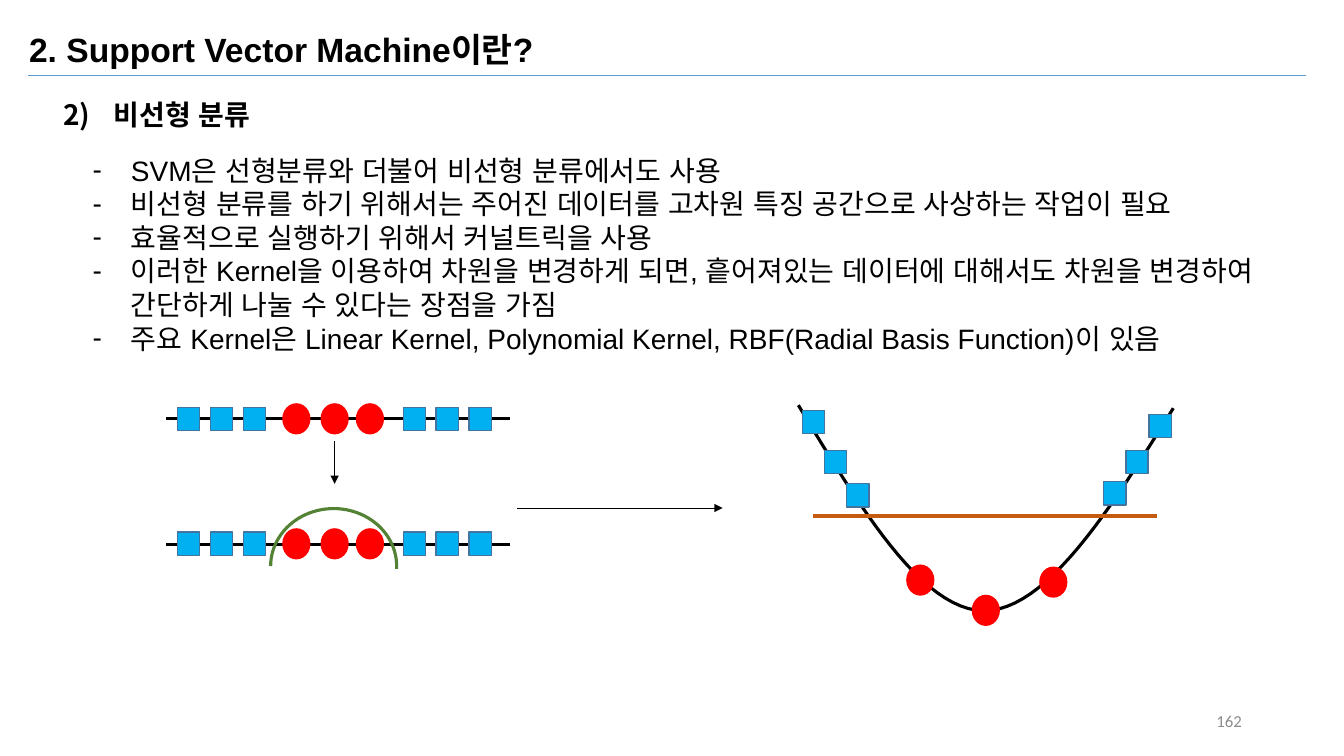
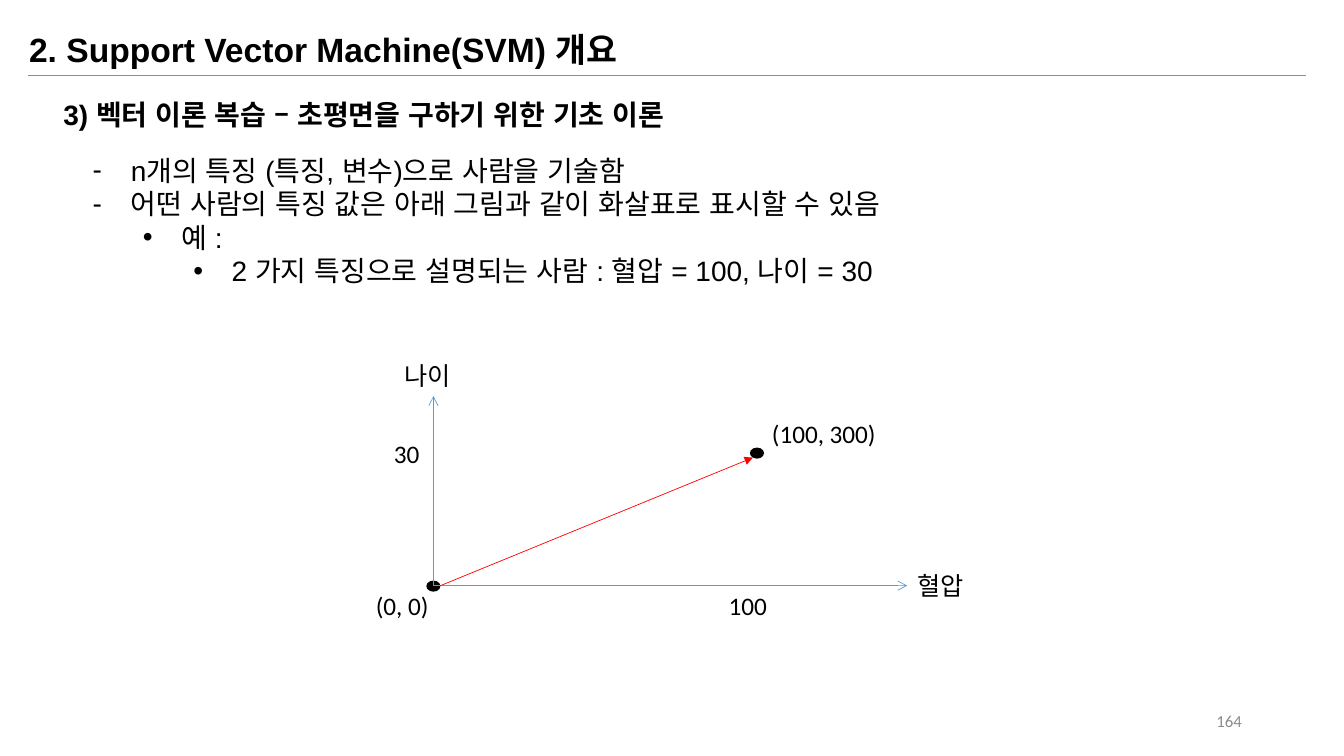
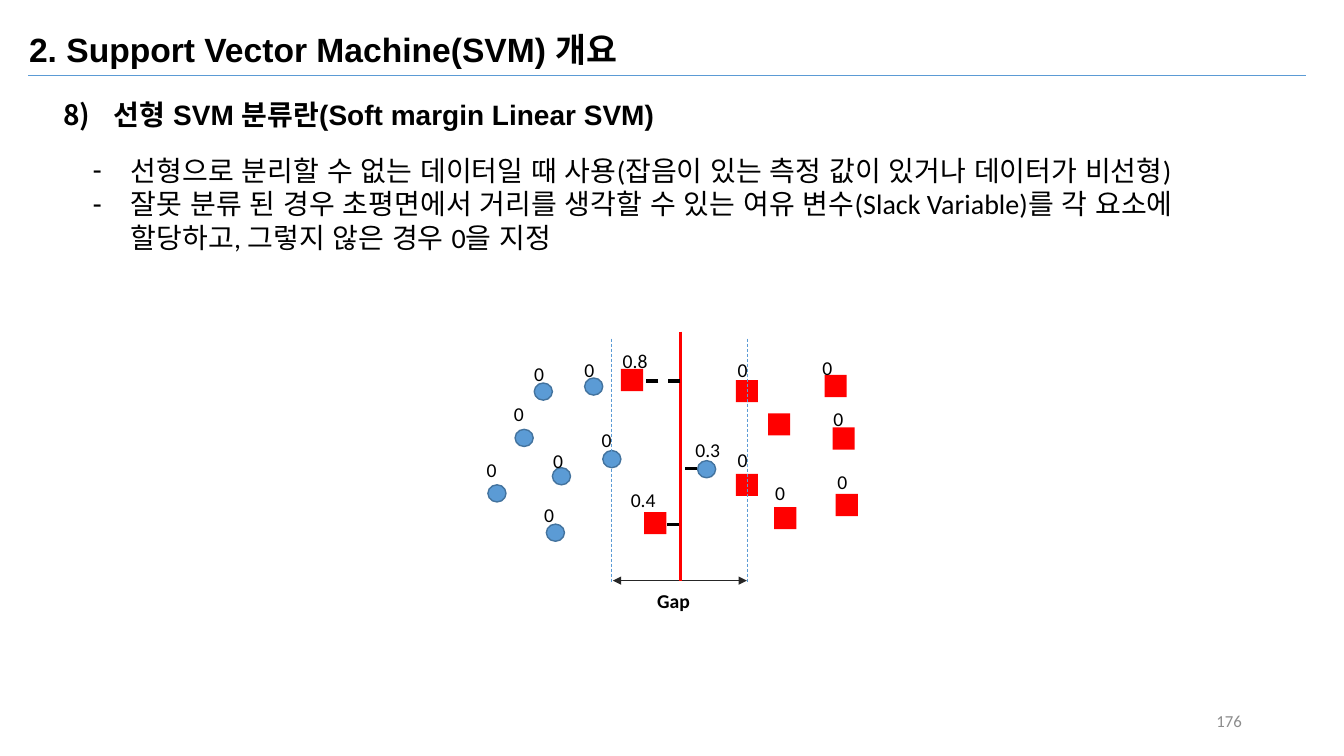
import math

import lxml.etree
import pptx
import pptx.dml.color
import pptx.enum.dml
import pptx.enum.lang
import pptx.enum.shapes
import pptx.enum.text
import pptx.oxml.ns
import pptx.util

BLACK = pptx.dml.color.RGBColor(0x00, 0x00, 0x00)
CHARCOAL = pptx.dml.color.RGBColor(0x26, 0x26, 0x26)
GREY = pptx.dml.color.RGBColor(0x8C, 0x8C, 0x8C)
BLUE = pptx.dml.color.RGBColor(0x5B, 0x9B, 0xD5)
DARK_BLUE = pptx.dml.color.RGBColor(0x43, 0x73, 0x9E)
SKY = pptx.dml.color.RGBColor(0x00, 0xB0, 0xF0)
RED = pptx.dml.color.RGBColor(0xFF, 0x00, 0x00)
ORANGE = pptx.dml.color.RGBColor(0xC5, 0x5A, 0x11)
GREEN = pptx.dml.color.RGBColor(0x54, 0x82, 0x35)

ELLIPSE = pptx.enum.shapes.MSO_SHAPE.OVAL
SQUARE = pptx.enum.shapes.MSO_SHAPE.RECTANGLE
DASH = pptx.enum.dml.MSO_LINE.DASH
TOP = pptx.enum.text.MSO_ANCHOR.TOP
MIDDLE = pptx.enum.text.MSO_ANCHOR.MIDDLE
RIGHT = pptx.enum.text.PP_ALIGN.RIGHT
KOREAN = pptx.enum.lang.MSO_LANGUAGE_ID.KOREAN
qn = pptx.oxml.ns.qn

presentation = pptx.Presentation()
presentation.slide_width = pptx.util.Emu(12192000)
presentation.slide_height = pptx.util.Emu(6858000)
CELL = presentation.slide_height // 75


def add_text(slide, paragraphs, left, top, width, height, *, font="Arial", size=20,
             bold=False, colour=BLACK, align=None, anchor=TOP, wrap=True,
             levels=None, number=None):
    box = slide.shapes.add_textbox(*(round(n * CELL) for n in (left, top, width, height)))
    frame = box.text_frame
    frame.word_wrap = wrap
    frame.vertical_anchor = anchor
    for index, text in enumerate(paragraphs):
        paragraph = frame.add_paragraph() if index else frame.paragraphs[0]
        properties = paragraph._p.get_or_add_pPr()
        if levels or number:
            level = levels[index] if levels else 0
            hang = 5 if number else 3.8
            paragraph.level = level
            properties.set("marL", str(round((hang + 5 * level) * CELL)))
            properties.set("indent", str(round(-hang * CELL)))
            if number:
                lxml.etree.SubElement(properties, qn("a:buAutoNum"),
                                      type="arabicParenR", startAt=str(number))
            else:
                lxml.etree.SubElement(properties, qn("a:buFont"), typeface="Arial")
                lxml.etree.SubElement(properties, qn("a:buChar"), char="•" if level else "-")
        paragraph.alignment = align
        run = paragraph.add_run()
        run.text = text
        run.font.name = font
        run.font.size = pptx.util.Pt(size)
        run.font.bold = bold
        run.font.color.rgb = colour
        run.font.language_id = KOREAN


def add_line(slide, start, end, colour, width=0.5, dash=None, head=None, tail=None):
    connector = slide.shapes.add_connector(
        pptx.enum.shapes.MSO_CONNECTOR.STRAIGHT,
        *(round(n * CELL) for n in (*start, *end)))
    connector.line.color.rgb = colour
    connector.line.width = pptx.util.Pt(width)
    if dash:
        connector.line.dash_style = dash
    properties = connector.element.spPr
    outline = properties.find(qn("a:ln"))
    for tag, kind in (("a:headEnd", head), ("a:tailEnd", tail)):
        if kind:
            lxml.etree.SubElement(outline, qn(tag), type=kind)
    lxml.etree.SubElement(properties, qn("a:effectLst"))


pages = [
    dict(title="2. Support Vector Machine이란?", heading="비선형 분류", number=2, page="162",
         font="Arial", width=120.9, levels=[0] * 5, body=[
             "SVM은 선형분류와 더불어 비선형 분류에서도 사용",
             "비선형 분류를 하기 위해서는 주어진 데이터를 고차원 특징 공간으로 사상하는 작업이 필요",
             "효율적으로 실행하기 위해서 커널트릭을 사용",
             "이러한 Kernel을 이용하여 차원을 변경하게 되면, 흩어져있는 데이터에 대해서도 차원을 변경하여 간단하게 나눌 수 있다는 장점을 가짐",
             "주요 Kernel은 Linear Kernel, Polynomial Kernel, RBF(Radial Basis Function)이 있음"]),
    dict(title="2. Support Vector Machine(SVM) 개요",
         heading="3) 벡터 이론 복습 – 초평면을 구하기 위한 기초 이론", number=None, page="164",
         font="Arial", width=120.9, levels=[0, 0, 1, 2], body=[
             "n개의 특징 (특징, 변수)으로 사람을 기술함",
             "어떤 사람의 특징 값은 아래 그림과 같이 화살표로 표시할 수 있음",
             "예 :",
             "2 가지 특징으로 설명되는 사람 : 혈압 = 100, 나이 = 30"]),
    dict(title="2. Support Vector Machine(SVM) 개요",
         heading="선형 SVM 분류란(Soft margin Linear SVM)", number=8, page="176",
         font="Calibri", width=118.1, levels=[0, 0], body=[
             "선형으로 분리할 수 없는 데이터일 때 사용(잡음이 있는 측정 값이 있거나 데이터가 비선형)",
             "잘못 분류 된 경우 초평면에서 거리를 생각할 수 있는 여유 변수(Slack Variable)를 각 요소에 할당하고, 그렇지 않은 경우 0을 지정"]),
]
for page in pages:
    slide = presentation.slides.add_slide(presentation.slide_layouts[6])
    add_line(slide, (2.8, 7.5), (129.6, 7.5), BLUE)
    add_text(slide, [page["title"]], 1.9, 2.4, 91.5, 5, size=24, bold=True)
    add_text(slide, [page["heading"]], 5.3, 9.2, 91.5, 4.4, bold=True, number=page["number"])
    add_text(slide, page["body"], 8.2, 14.7, page["width"], 22,
             font=page["font"], levels=page["levels"])
    add_text(slide, [page["page"]], 94.2, 69.5, 30, 4, font="Calibri", size=12,
             colour=GREY, align=RIGHT, anchor=MIDDLE)

kernel_slide, vector_slide, margin_slide = presentation.slides

add_line(kernel_slide, (33.2, 43.8), (33.2, 48), BLACK, tail="triangle")
add_line(kernel_slide, (51.3, 50.4), (71.7, 50.4), BLACK, tail="triangle")
for row in (41.5, 54):
    add_line(kernel_slide, (16.5, row), (50.6, row), BLACK, 2.25)

curve_controls = [
    [(79.2, 40.2), (85.3, 50.3), (91.4, 60.5), (97.6, 60.6)],
    [(97.6, 60.6), (103.8, 60.6), (110.1, 50.6), (116.4, 40.5)],
]
STEPS = 24
curve_points = []
for controls in curve_controls:
    for step in range(STEPS + 1):
        t = step / STEPS
        weights = [math.comb(3, k) * t ** k * (1 - t) ** (3 - k) for k in range(4)]
        curve_points.append(tuple(
            round(CELL * sum(w * point[axis] for w, point in zip(weights, controls)))
            for axis in (0, 1)))
builder = kernel_slide.shapes.build_freeform(*curve_points[0])
builder.add_line_segments(curve_points[1:], close=False)
curve = builder.convert_to_shape()
add_line(kernel_slide, (80.7, 51.2), (114.8, 51.2), ORANGE, 2.25)

flat_squares = [(start + 3.27 * i, top) for top in (40.4, 52.8)
                for start in (17.6, 40) for i in range(3)]
flat_circles = [(left, top) for top in (40, 52.4) for left in (28, 31.8, 35.3)]
curve_squares = [(79.6, 40.7), (81.8, 44.7), (84, 48), (114, 41.1), (111.7, 44.7), (109.5, 47.8)]
curve_circles = [(89.9, 56), (96.4, 59), (103.1, 56.2)]
margin_circles = [(53, 38), (58, 37.5), (51.1, 42.6), (48.4, 48.1),
                  (59.8, 44.7), (69.2, 45.7), (54.8, 46.4), (54.2, 52)]
margin_squares = [(76.2, 41), (81.8, 37.2), (82.6, 42.4), (76.8, 50.3), (82.9, 49),
                  (73, 37.7), (63.9, 50.8), (61.6, 36.6), (73, 47)]
mark_groups = [
    (kernel_slide, SQUARE, 2.2, 2.3, SKY, DARK_BLUE, flat_squares + curve_squares),
    (kernel_slide, ELLIPSE, 2.8, 3.1, RED, None, flat_circles + curve_circles),
    (vector_slide, ELLIPSE, 1.4, 1.1, BLACK, None, [(42.3, 57.6), (74.4, 44.4)]),
    (margin_slide, ELLIPSE, 1.8, 1.7, BLUE, DARK_BLUE, margin_circles),
    (margin_slide, SQUARE, 2.2, 2.2, RED, None, margin_squares),
]
for slide, kind, width, height, fill, outline, places in mark_groups:
    for left, top in places:
        mark = slide.shapes.add_shape(
            kind, *(round(n * CELL) for n in (left, top, width, height)))
        mark.shadow.inherit = False
        mark.fill.solid()
        mark.fill.fore_color.rgb = fill
        if outline:
            mark.line.color.rgb = outline
            mark.line.width = pptx.util.Pt(1)
        else:
            mark.line.fill.background()

arc = kernel_slide.shapes.add_shape(
    pptx.enum.shapes.MSO_SHAPE.ARC, *(round(n * CELL) for n in (27.4, 49.9, 11.4, 12.5)))
arc.rotation = 270
arc.adjustments[0] = 162
arc.adjustments[1] = 55.6
for outline_shape, colour in ((curve, BLACK), (arc, GREEN)):
    outline_shape.shadow.inherit = False
    outline_shape.fill.background()
    outline_shape.line.color.rgb = colour
    outline_shape.line.width = pptx.util.Pt(2.25)

origin = (43, 58.1)
add_line(vector_slide, origin, (43, 39.3), BLUE, tail="arrow")
add_line(vector_slide, origin, (90, 58.1), BLUE, tail="arrow")
add_line(vector_slide, (43.7, 58.1), (74.7, 45.4), RED, tail="triangle")
axis_labels = [
    ("(0, 0)", 36.3, 58.1, 7.8), ("나이", 39.1, 35.3, 7.1), ("혈압", 90, 56.1, 7.1),
    ("(100, 300)", 75.6, 41, 13.3), ("30", 38.1, 43, 4.8), ("100", 71.3, 58.1, 6.2),
]
for text, left, top, width in axis_labels:
    add_text(vector_slide, [text], left, top, width, 4, font="Calibri", size=18, wrap=False)

for column in (60.7, 74.1):
    add_line(margin_slide, (column, 33.6), (column, 57.9), BLUE, dash=DASH)
add_line(margin_slide, (60.8, 57.6), (74.1, 57.6), CHARCOAL, head="triangle", tail="triangle")
add_line(margin_slide, (67.5, 32.9), (67.5, 57.6), RED, 2.25)
for start, end, row in ((67.5, 63.8, 37.8), (69.2, 67.5, 46.5), (67.4, 65.6, 52)):
    add_line(margin_slide, (start, row), (end, row), BLACK, 2.25, dash=DASH)

add_text(margin_slide, ["Gap"], 64.2, 57.9, 6.5, 3.4, font="Calibri", size=14, bold=True)
slack_places = {
    "0": [(47.3, 44.9), (50, 39.4), (52, 35.4), (57, 35), (53.9, 44), (58.7, 42),
          (53, 49.4), (72.2, 43.9), (75.9, 47.2), (82.1, 46.1), (81.7, 39.9),
          (80.6, 34.8), (72.2, 35)],
    "0.8": [(60.8, 34.1)],
    "0.4": [(61.6, 47.9)],
    "0.3": [(68, 43)],
}
for slack, places in slack_places.items():
    for left, top in places:
        add_text(margin_slide, [slack], left, top, 3.9 if slack == "0" else 5.3, 3.4,
                 font="Calibri", size=14)

presentation.save("out.pptx")
